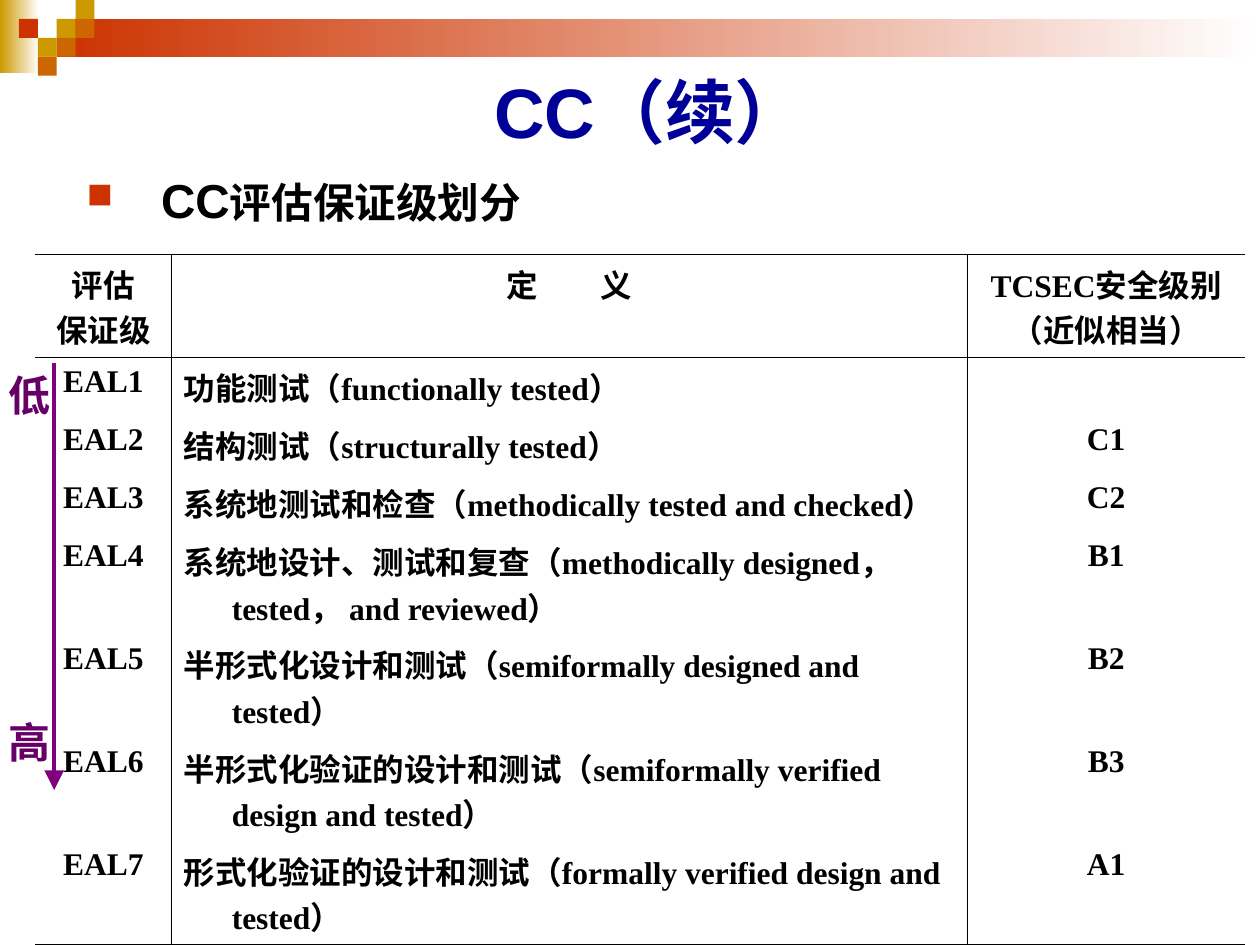
from lxml import etree
from pptx import Presentation, util as u
from pptx.dml.color import RGBColor
from pptx.enum import shapes, text
from pptx.oxml import ns

WIDE, HIGH = 10, 7.5
UNIT = 0.15
INK = "000000"
TILES = [(3, 1, "CC9900"), (4, 0, "CC9900"), (4, 1, "CC6600"), (2, 2, "CC9900"),
         (1, 1, "CC3300"), (3, 2, "CC6600"), (2, 3, "CC6600")]
HEAD = ["评估\n保证级", "定　　义", "TCSEC安全级别\n（近似相当）"]
LEVELS = [
    ("功能测试（functionally tested）", ""),
    ("结构测试（structurally tested）", "C1"),
    ("系统地测试和检查（methodically tested and checked）", "C2"),
    ("系统地设计、测试和复查（methodically designed， tested， and reviewed）", "B1"),
    ("半形式化设计和测试（semiformally designed and tested）", "B2"),
    ("半形式化验证的设计和测试（semiformally verified design and tested）", "B3"),
    ("形式化验证的设计和测试（formally verified design and tested）", "A1"),
]
COLS = [1.08, 6.32, 2.2]
ONE, TWO = 0.46, 0.82
ROWS = [TWO] + [ONE] * 3 + [TWO] * 4


def tint(code):
    """Return the colour for a hex string."""
    return RGBColor.from_string(code)


def add(node, tag, **attrs):
    """Append a drawing element to a node and return it."""
    item = etree.SubElement(node, ns.qn(tag))
    for key, val in attrs.items():
        item.set(key, str(val))
    return item


def style(run, size, code, face="Arial"):
    """Give a run its bold font, size and colour."""
    font = run.font
    font.name, font.size, font.bold = face, u.Pt(size), True
    font.color.rgb = tint(code)


def hang(para, depth):
    """Indent all lines of a paragraph but the first."""
    props = para._p.get_or_add_pPr()
    props.set("marL", str(u.Inches(depth)))
    props.set("indent", str(-u.Inches(depth)))
    return props


def block(slide, x, y, w, h, code, fade=False):
    """Draw a rectangle, plain or fading to white on the right."""
    box = slide.shapes.add_shape(shapes.MSO_SHAPE.RECTANGLE, *map(u.Inches, (x, y, w, h)))
    box.shadow.inherit = False
    box.line.fill.background()
    if fade:
        box.fill.gradient()
        box.fill.gradient_angle = 0
        for stop, part in zip(box.fill.gradient_stops, (code, "FFFFFF")):
            stop.color.rgb = tint(part)
    else:
        box.fill.solid()
        box.fill.fore_color.rgb = tint(code)


def label(slide, words, x, y, w, h, size, code):
    """Add a centred line of text and return its frame."""
    frame = slide.shapes.add_textbox(*map(u.Inches, (x, y, w, h))).text_frame
    frame.word_wrap = True
    frame.text = words
    para = frame.paragraphs[0]
    para.alignment = text.PP_ALIGN.CENTER
    style(para.runs[0], size, code)
    return frame


def topic(slide):
    """Add the bulleted heading above the table."""
    frame = slide.shapes.add_textbox(*map(u.Inches, (0.59, 1.31, 7.17, 0.55))).text_frame
    frame.word_wrap = True
    para = frame.paragraphs[0]
    props = hang(para, 0.59)
    add(add(props, "a:buClr"), "a:srgbClr", val="CC3300")
    add(props, "a:buSzPct", val=75000)
    add(props, "a:buFont", typeface="Wingdings", charset=2)
    add(props, "a:buChar", char="n")
    for words, size in (("CC", 27.2), ("评估保证级划分", 23.8)):
        run = para.add_run()
        run.text = words
        style(run, size, INK)


def edge(cell, sides):
    """Set the four cell borders; sides maps a name to a width in points."""
    props = cell._tc.get_or_add_tcPr()
    for spot, name in enumerate(("lnL", "lnR", "lnT", "lnB")):
        line = add(props, "a:" + name)
        if name in sides:
            line.set("w", str(u.Pt(sides[name])))
            add(add(line, "a:solidFill"), "a:srgbClr", val=INK)
        else:
            add(line, "a:noFill")
        props.insert(spot, line)


def fill(cell, words, col, row):
    """Write one table cell with its text and borders."""
    cell.fill.background()
    cell.text_frame.text = words
    for para in cell.text_frame.paragraphs:
        if row and col == 1:
            hang(para, 0.38)
        else:
            para.alignment = text.PP_ALIGN.CENTER
        para.font.size = u.Pt(18)
        for run in para.runs:
            style(run, 18, INK, "Times New Roman")
    sides = {}
    if col:
        sides["lnL"] = 1.08
    if col < len(COLS) - 1:
        sides["lnR"] = 1.08
    if row < 2:
        sides["lnT"] = 0.45
    if row in (0, len(ROWS) - 1):
        sides["lnB"] = 0.45
    edge(cell, sides)


def grid(slide):
    """Build the table of assurance levels."""
    data = [HEAD] + [(f"EAL{n}", *pair) for n, pair in enumerate(LEVELS, 1)]
    area = map(u.Inches, (0.28, 2.02, sum(COLS), sum(ROWS)))
    table = slide.shapes.add_table(len(ROWS), len(COLS), *area).table
    table.first_row = table.horz_banding = False
    for col, wide in zip(table.columns, COLS):
        col.width = u.Inches(wide)
    for r, (line, high) in enumerate(zip(data, ROWS)):
        table.rows[r].height = u.Inches(high)
        for c, words in enumerate(line):
            fill(table.cell(r, c), words, c, r)


def arrow(slide, x, top, end):
    """Draw the arrow from low to high assurance."""
    line = slide.shapes.add_connector(
        shapes.MSO_CONNECTOR.STRAIGHT, *map(u.Inches, (x, top, x, end)))
    line.line.color.rgb = tint("800080")
    line.line.width = u.Pt(2.25)
    add(line.line._get_or_add_ln(), "a:tailEnd", type="triangle", w="lg", len="lg")
    add(line._element.spPr, "a:effectLst")


def main():
    """Build and save the slide."""
    deck = Presentation()
    deck.slide_width, deck.slide_height = u.Inches(WIDE), u.Inches(HIGH)
    slide = deck.slides.add_slide(deck.slide_layouts[6])
    block(slide, 0, 0, 0.31, 0.58, "CC9900", True)
    block(slide, 3 * UNIT, UNIT, WIDE - 3 * UNIT, 2 * UNIT, "CC3300", True)
    for col, row, code in TILES:
        block(slide, col * UNIT, row * UNIT, UNIT, UNIT, code)
    title = label(slide, "CC（续）", 0.83, 0.44, 8.65, 0.87, 40, "000099")
    title.vertical_anchor = text.MSO_ANCHOR.MIDDLE
    topic(slide)
    grid(slide)
    arrow(slide, 0.43, 2.88, 6.27)
    for words, y in (("低", 2.88), ("高", 5.64)):
        mark = label(slide, words, -0.04, y, 0.55, 0.5, 24, "660066")
        mark.auto_size = text.MSO_AUTO_SIZE.SHAPE_TO_FIT_TEXT
    deck.save("out.pptx")


if __name__ == "__main__":
    main()
